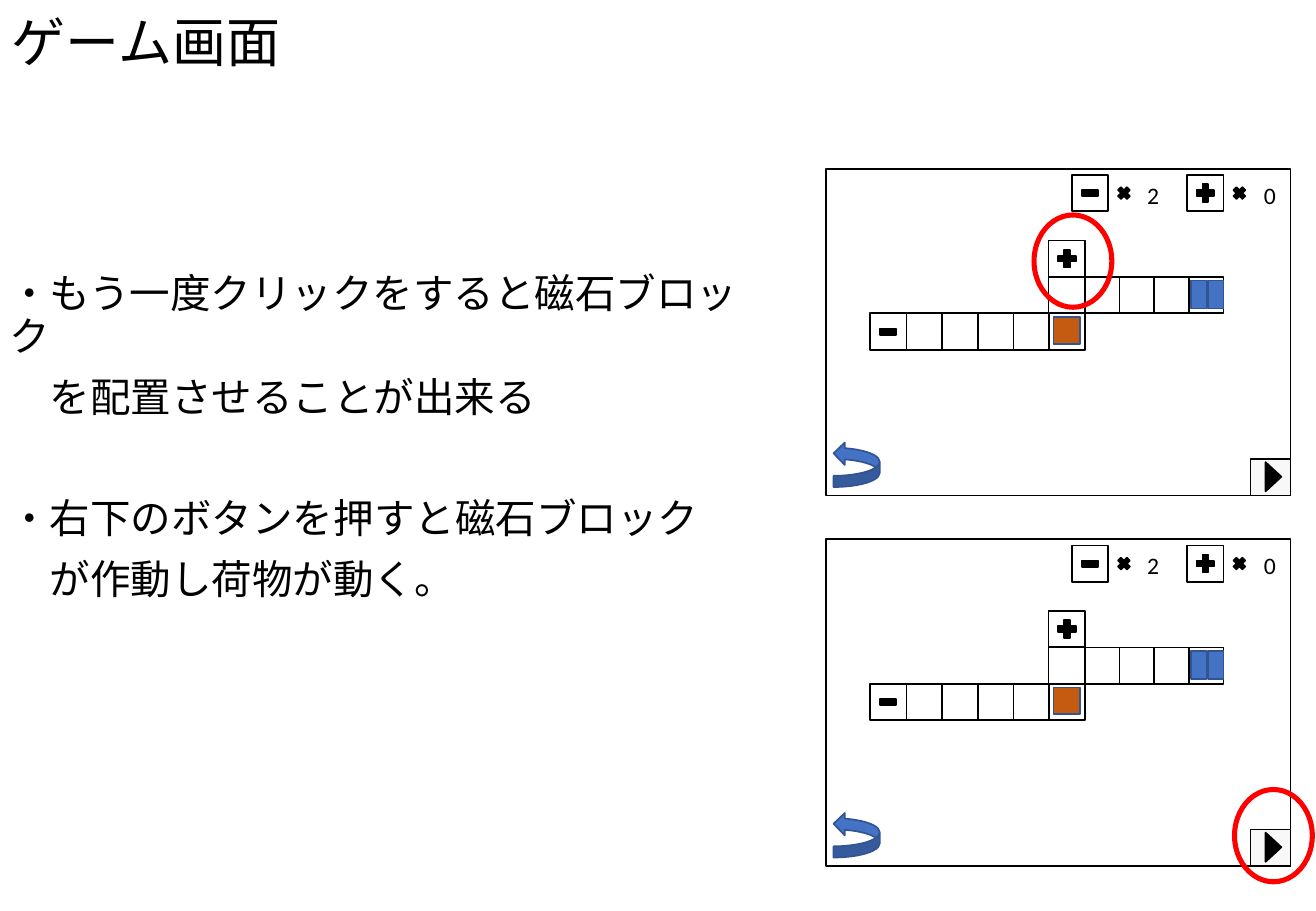
from dataclasses import dataclass
from typing import Any

from lxml.etree import SubElement
from pptx import Presentation
from pptx.dml.color import RGBColor
from pptx.enum.shapes import MSO_SHAPE as Shape
from pptx.enum.text import MSO_ANCHOR as Anchor, PP_ALIGN as Align
from pptx.util import Inches, Pt

BLACK, WHITE, RED = "000000", "FFFFFF", "FF0000"
BLUE, NAVY, ORANGE, GREY = "4472C4", "325491", "C55A11", "F8F8F8"
CELL = 0.3


@dataclass
class Part:
    kind: Any
    x: float
    y: float
    w: float
    h: float
    fill: str | None = BLACK
    line: str = BLACK
    weight: float = 1
    rotation: float = 0
    flip: bool = False


@dataclass
class Para:
    text: str
    before: float = 0
    indent: float = 0


def color(value: str) -> RGBColor:
    return RGBColor.from_string(value)


def set_all(target: Any, values: dict[str, Any]) -> None:
    for name, value in values.items():
        setattr(target, name, value)


def draw(shapes: Any, part: Part, left: float = 0, top: float = 0) -> None:
    sp = shapes.add_shape(part.kind, Inches(left + part.x), Inches(top + part.y),
                          Inches(part.w), Inches(part.h))
    sp.shadow.inherit = False
    sp.rotation = part.rotation
    if part.flip:
        sp.element.spPr.get_or_add_xfrm().set("flipV", "1")
    if part.fill:
        sp.fill.solid()
        sp.fill.fore_color.rgb = color(part.fill)
    else:
        sp.fill.background()
    sp.line.color.rgb = color(part.line)
    sp.line.width = Pt(part.weight)


def write(shapes: Any, box: tuple[float, float, float, float], paras: list[Para],
          size: float, frame: dict[str, Any], para_format: dict[str, Any]) -> None:
    tf = shapes.add_textbox(*map(Inches, box)).text_frame
    set_all(tf, {"word_wrap": True, **frame})
    for i, para in enumerate(paras):
        p = tf.add_paragraph() if i else tf.paragraphs[0]
        set_all(p, {"space_before": Pt(para.before), **para_format})
        if para.indent:
            p._p.get_or_add_pPr().set("marL", str(Inches(para.indent)))
        r = p.add_run()
        r.text = para.text
        set_all(r.font, {"name": "Calibri", "size": Pt(size)})
        r.font.color.rgb = color(BLACK)


def cell(x: float, y: float) -> Part:
    return Part(Shape.RECTANGLE, x, y, CELL, CELL, WHITE)


def minus_block(x: float, y: float) -> list[Part]:
    return [cell(x, y), Part(Shape.MATH_MINUS, x + 0.06, y + 0.04, 0.18, 0.22)]


def plus_block(x: float, y: float) -> list[Part]:
    return [cell(x, y), Part(Shape.MATH_PLUS, x + 0.05, y + 0.05, 0.2, 0.2)]


def times(x: float) -> Part:
    return Part(Shape.MATH_MULTIPLY, x, 0.13, 0.14, 0.14)


UPPER, LOWER, TOOLS = 0.89, 1.19, 0.05
BOARD = [
    Part(Shape.RECTANGLE, 0, 0, 3.82, 2.69, WHITE),
    *[cell(1.83 + 0.285 * i, UPPER) for i in reversed(range(5))],
    *[cell(0.36 + 0.294 * i, LOWER) for i in reversed(range(1, 6))],
    Part(Shape.RECTANGLE, 1.87, 1.22, 0.22, 0.22, ORANGE, NAVY),
    *[Part(Shape.RECTANGLE, x, 0.92, 0.13, 0.23, BLUE, NAVY) for x in (3, 3.14)],
    *minus_block(2.02, TOOLS),
    times(2.38),
    *plus_block(2.97, TOOLS),
    times(3.33),
    *minus_block(0.36, LOWER),
    *plus_block(1.83, 0.59),
    Part(Shape.RECTANGLE, 3.49, 2.39, 0.33, 0.3, GREY),
    Part(Shape.ISOSCELES_TRIANGLE, 3.56, 2.47, 0.24, 0.13, rotation=90),
    Part(Shape.CURVED_LEFT_ARROW, 0.06, 2.25, 0.38, 0.37, BLUE, NAVY, flip=True),
]
COUNTS = {"2": 2.54, "0": 3.5}
BOARD_LEFT, BOARD_TOPS = 6.8, (4.44, 1.39)
RINGS = [Part(Shape.OVAL, x, y, 0.64, 0.76, None, RED, 3)
         for x, y in ((8.51, 1.77), (10.16, 6.5))]
STEPS = [
    Para("・もう一度クリックをすると磁石ブロック"),
    Para("を配置させることが出来る", 10, 0.33),
    Para("・右下のボタンを押すと磁石ブロック", 46),
    Para("が作動し荷物が動く。", 10, 0.33),
]


def main() -> None:
    prs = Presentation()
    set_all(prs, {"slide_width": Inches(10.83), "slide_height": Inches(7.5)})
    s = prs.slides.add_slide(prs.slide_layouts[6])
    tight = {"line_spacing": 0.9}
    write(s.shapes, (0, 0, 5.26, 0.74), [Para("ゲーム画面")], 32,
          {"vertical_anchor": Anchor.MIDDLE}, tight)
    write(s.shapes, (-0.02, 2.2, 6.64, 3.26), STEPS, 24,
          {"margin_right": Inches(0.5)}, tight)
    for top in BOARD_TOPS:
        shapes = s.shapes.add_group_shape().shapes
        for part in BOARD:
            draw(shapes, part, BOARD_LEFT, top)
        for count, x in COUNTS.items():
            write(shapes, (BOARD_LEFT + x, top + TOOLS, 0.3, 0.34), [Para(count)], 14,
                  {"margin_left": 0, "margin_right": 0}, {"alignment": Align.CENTER})
    for ring in RINGS:
        draw(s.shapes, ring)
    prs.save("out.pptx")


if __name__ == "__main__":
    main()
